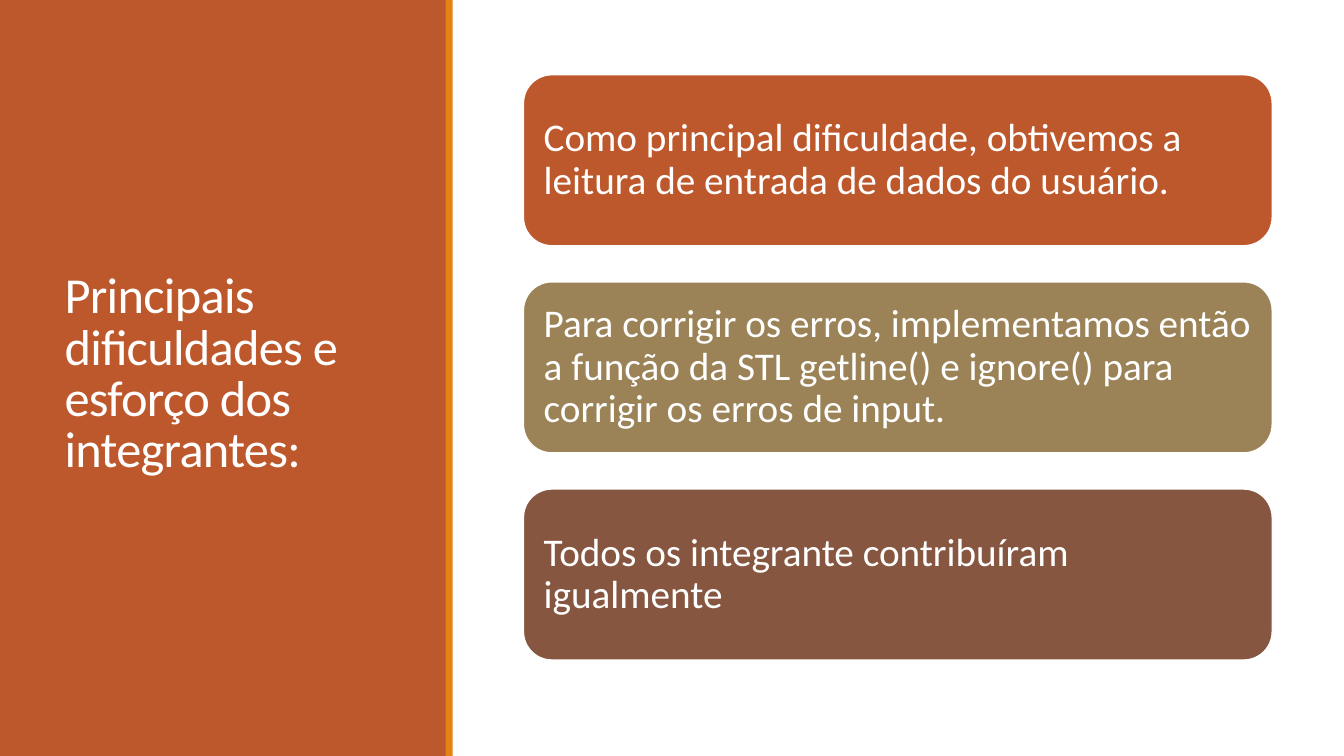
from pptx import Presentation
from pptx.dml.color import RGBColor
from pptx.enum.shapes import MSO_SHAPE
from pptx.enum.text import MSO_ANCHOR, MSO_AUTO_SIZE, PP_ALIGN
from pptx.util import Inches, Pt

RECT, ROUND = MSO_SHAPE.RECTANGLE, MSO_SHAPE.ROUNDED_RECTANGLE
MIDDLE, LEFT, NO_FIT = MSO_ANCHOR.MIDDLE, PP_ALIGN.LEFT, MSO_AUTO_SIZE.NONE

COLORS = {
    "white": "FFFFFF",
    "rust": "BD582C",
    "orange": "E48312",
    "olive": "9B8357",
    "brown": "865640",
}
TITLE = "Principais dificuldades e esforço dos integrantes:"
CARDS = [
    ("Como principal dificuldade, obtivemos a leitura de entrada de dados do usuário.", "rust"),
    ("Para corrigir os erros, implementamos então a função da STL getline() e ignore() "
     "para corrigir os erros de input.", "olive"),
    ("Todos os integrante contribuíram igualmente", "brown"),
]


def rgb(name):
    return RGBColor.from_string(COLORS[name])


def add_box(s, kind, x, y, w, h, fill, line=None):
    sp = s.shapes.add_shape(kind, Inches(x), Inches(y), Inches(w), Inches(h))
    sp.shadow.inherit = False
    sp.fill.solid()
    sp.fill.fore_color.rgb = rgb(fill)
    if line:
        sp.line.color.rgb = rgb(line)
        sp.line.width = Pt(1.25)
    else:
        sp.line.fill.background()
    return sp


def set_text(sp, text, size, spacing, inset=(0.1, 0.05), tracking=None):
    """Write left-aligned, vertically centred white text; tracking is in points."""
    tf = sp.text_frame
    tf.word_wrap = True
    tf.auto_size = NO_FIT
    tf.vertical_anchor = MIDDLE
    tf.margin_left = tf.margin_right = Inches(inset[0])
    tf.margin_top = tf.margin_bottom = Inches(inset[1])
    p = tf.paragraphs[0]
    p.alignment = LEFT
    p.line_spacing = spacing
    r = p.add_run()
    r.text = text
    r.font.name = "Calibri"
    r.font.size = Pt(size)
    r.font.color.rgb = rgb("white")
    if tracking:
        r.font._element.set("spc", str(int(tracking * 100)))


def title_panel(s, x, y, w, h, stripe=0.07):
    add_box(s, RECT, x, y, w, h, "rust")
    add_box(s, RECT, x + w - 0.01, y, stripe, h, "orange")
    title = s.shapes.title
    title.left, title.top = Inches(x + 0.54), Inches(y + 0.57)
    title.width, title.height = Inches(w - 1.06), Inches(h - 1.19)
    set_text(title, TITLE, 36, 0.85, tracking=-0.5)
    # Bring the title in front of the panel
    title.element.getparent().append(title.element)


def card_column(s, x, y, w, h, card_h=1.7):
    """Spread the cards evenly over the height of the box."""
    pitch = (h - card_h) / (len(CARDS) - 1)
    for i, (text, fill) in enumerate(CARDS):
        card = add_box(s, ROUND, x, y + i * pitch, w, card_h, fill, line="white")
        set_text(card, text, 28, 0.9, inset=(0.12, 0.12))


def main():
    prs = Presentation()
    prs.slide_width, prs.slide_height = Inches(13.33), Inches(7.5)
    s = prs.slides.add_slide(prs.slide_layouts[5])
    s.background.fill.solid()
    s.background.fill.fore_color.rgb = rgb("white")
    title_panel(s, 0, 0, 4.43, 7.5)
    card_column(s, 5.19, 0.74, 7.43, 5.81)
    prs.save("out.pptx")


if __name__ == "__main__":
    main()
